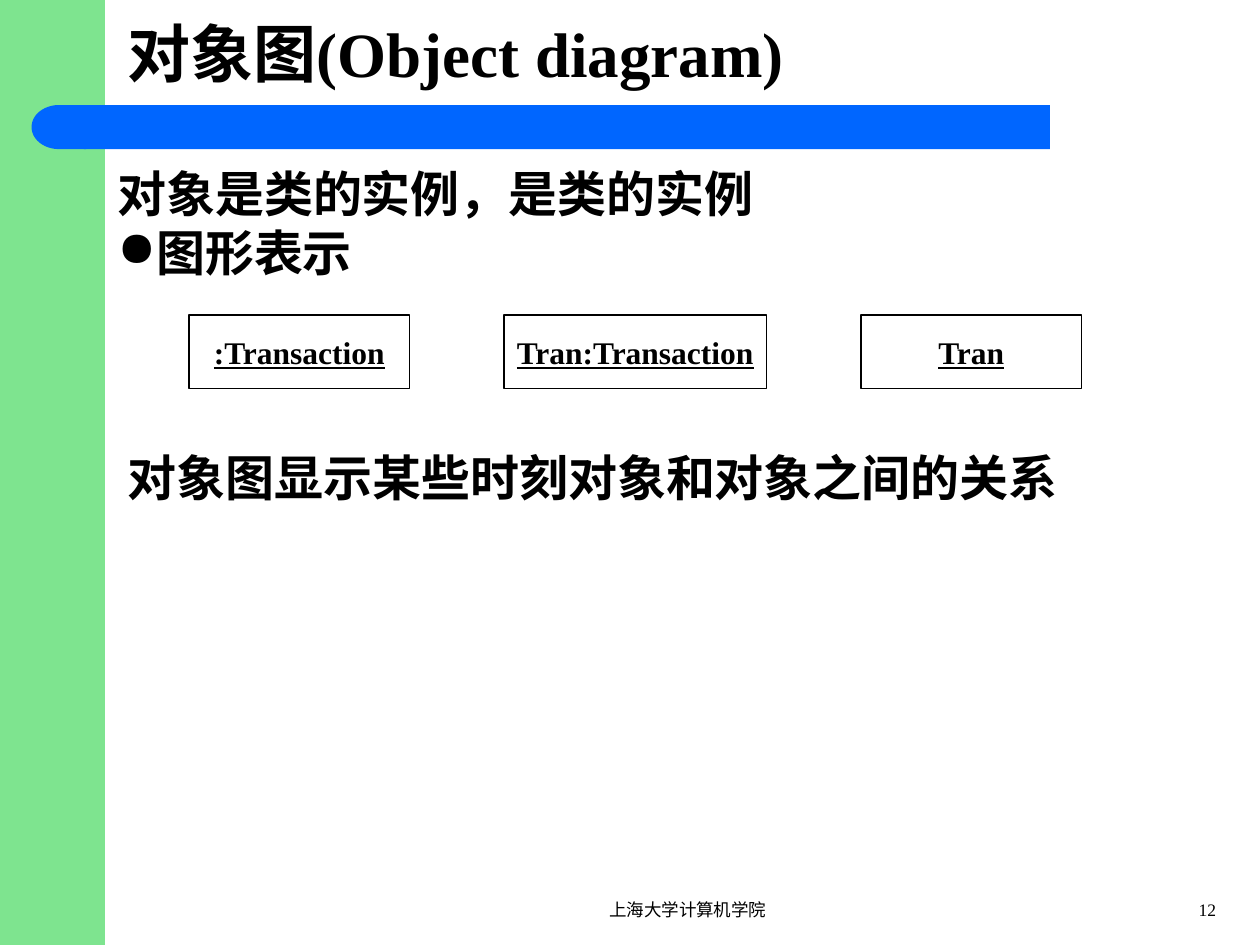
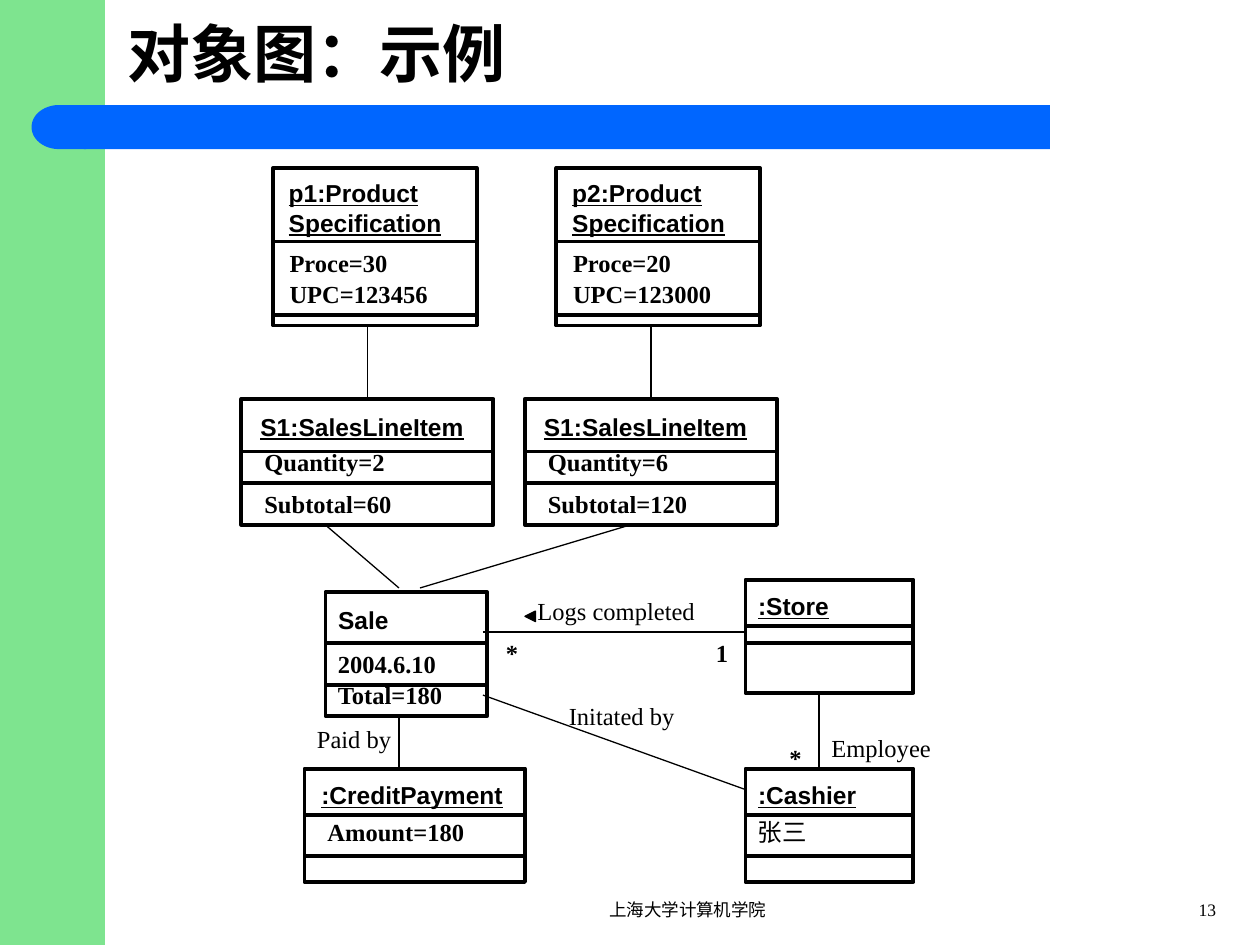
from dataclasses import dataclass, replace

from lxml import etree
from pptx import Presentation
from pptx.dml.color import RGBColor
from pptx.enum.shapes import MSO_CONNECTOR, MSO_SHAPE
from pptx.enum.text import MSO_ANCHOR, PP_ALIGN
from pptx.oxml.ns import qn
from pptx.util import Inches, Pt

BLACK = RGBColor(0x00, 0x00, 0x00)
GREEN = RGBColor(0x7E, 0xE4, 0x8F)
BLUE = RGBColor(0x00, 0x66, 0xFF)
SERIF, SANS = "Times New Roman", "Arial"
LEFT, CENTER, RIGHT = PP_ALIGN.LEFT, PP_ALIGN.CENTER, PP_ALIGN.RIGHT
TOP, MIDDLE = MSO_ANCHOR.TOP, MSO_ANCHOR.MIDDLE
RECTANGLE, DELAY = MSO_SHAPE.RECTANGLE, MSO_SHAPE.FLOWCHART_DELAY
TRIANGLE = MSO_SHAPE.ISOSCELES_TRIANGLE
STRAIGHT = MSO_CONNECTOR.STRAIGHT

COLUMNS, ROWS = 120, 90
CELL = Inches(10) / COLUMNS
THIN, THICK = 0.75, 2.25
LABEL_HEIGHT = 4.1
FOOTER = "上海大学计算机学院"


@dataclass(frozen=True)
class TextStyle:
    size: float
    font: str = SERIF
    bold: bool = False
    underline: bool = False
    align: PP_ALIGN = LEFT
    anchor: MSO_ANCHOR = TOP


TITLE = TextStyle(36, bold=True, anchor=MIDDLE)
BODY = TextStyle(28, bold=True)
NOTATION = TextStyle(18, bold=True, underline=True, align=CENTER, anchor=MIDDLE)
OBJECT_NAME = TextStyle(14, SANS, bold=True, underline=True)
ATTRIBUTE = TextStyle(14, bold=True)
LABEL = TextStyle(14)
FOOTER_TEXT = TextStyle(10, align=CENTER)


def cells(*counts):
    return [round(count * CELL) for count in counts]


def add_bullet(paragraph, character):
    properties = paragraph._p.get_or_add_pPr()
    properties.set("marL", "0")
    properties.set("indent", "0")
    etree.SubElement(properties, qn("a:buChar")).set("char", character)


def write(shape, lines, style, inset=True, wrap=True, bullets=()):
    frame = shape.text_frame
    frame.word_wrap = wrap
    frame.vertical_anchor = style.anchor
    if not inset:
        frame.margin_left = frame.margin_right = 0
        frame.margin_top = frame.margin_bottom = 0
    for index, line in enumerate(lines):
        paragraph = frame.add_paragraph() if index else frame.paragraphs[0]
        paragraph.alignment = style.align
        if index in bullets:
            add_bullet(paragraph, "●")
        run = paragraph.add_run()
        run.text = line
        run.font.size = Pt(style.size)
        run.font.name = style.font
        run.font.bold = style.bold
        run.font.underline = style.underline
        run.font.color.rgb = BLACK


def add_text(slide, area, lines, style, **options):
    write(slide.shapes.add_textbox(*cells(*area)), lines, style, **options)


def add_block(slide, kind, area, fill=None, line_width=None):
    shape = slide.shapes.add_shape(kind, *cells(*area))
    shape.shadow.inherit = False
    if fill is None:
        shape.fill.background()
    else:
        shape.fill.solid()
        shape.fill.fore_color.rgb = fill
    if line_width is None:
        shape.line.fill.background()
    else:
        shape.line.color.rgb = BLACK
        shape.line.width = Pt(line_width)
    return shape


def add_line(slide, start, end, width=THIN):
    connector = slide.shapes.add_connector(STRAIGHT, *cells(*start, *end))
    connector.line.color.rgb = BLACK
    connector.line.width = Pt(width)
    etree.SubElement(connector._element.spPr, qn("a:effectLst"))


def add_label(slide, left, top, width, text, style=LABEL):
    add_text(slide, (left, top, width, LABEL_HEIGHT), [text], style)


def add_object(slide, area, dividers, name, name_offset, attributes=(),
               name_style=OBJECT_NAME, attribute_style=ATTRIBUTE):
    left, top, width, height = area
    add_block(slide, RECTANGLE, area, line_width=THICK)
    for divider in dividers:
        add_line(slide, (left, top + divider), (left + width, top + divider), THICK)
    across, down = name_offset
    add_text(slide, (left + across, top + down, width - 2.8, 2.8), [name],
             name_style, inset=False)
    for across, down, text in attributes:
        add_label(slide, left + across, top + down, width - across, text,
                  attribute_style)


def add_base_slide(presentation, title, number):
    slide = presentation.slides.add_slide(presentation.slide_layouts[6])
    add_block(slide, RECTANGLE, (0, 0, 10, ROWS), GREEN)
    add_block(slide, RECTANGLE, (8, 10, 92, 4.2), BLUE)
    add_block(slide, DELAY, (3, 10, 5.2, 4.2), BLUE).rotation = 180
    add_text(slide, (11, 0, 104, 10), [title], TITLE)
    add_text(slide, (45, 85, 41, 3), [FOOTER], FOOTER_TEXT)
    add_text(slide, (108, 85, 9, 3), [str(number)], replace(FOOTER_TEXT, align=RIGHT))
    return slide


def build_notation_slide(presentation):
    slide = add_base_slide(presentation, "对象图(Object diagram)", 12)
    add_text(slide, (10, 15, 73, 12.5),
             ["对象是类的实例，是类的实例", "图形表示"], BODY, bullets=(1,))
    for left, width, name in ((18, 21, ":Transaction"),
                              (48, 25, "Tran:Transaction"),
                              (82, 21, "Tran")):
        shape = add_block(slide, RECTANGLE, (left, 30, width, 7), line_width=THIN)
        write(shape, [name], NOTATION, wrap=False)
    add_text(slide, (11, 42, 97, 6), ["对象图显示某些时刻对象和对象之间的关系"], BODY)


def add_product_line(slide, left, product, price, code, quantity, subtotal):
    add_object(slide, (left + 3, 16, 19.4, 15), (7, 14),
               f"{product}:Product Specification", (1.5, 1),
               ((0.4, 7, f"Proce={price}"), (0.4, 10, f"UPC={code}")))
    add_line(slide, (left + 12, 31), (left + 12, 38))
    add_object(slide, (left, 38, 24, 12), (5, 8), "S1:SalesLineItem", (1.8, 1.2),
               ((1, 4, f"Quantity={quantity}"), (1, 8, f"Subtotal={subtotal}")))


def build_example_slide(presentation):
    slide = add_base_slide(presentation, "对象图：示例", 13)
    add_product_line(slide, 23, "p1", 30, "123456", 2, 60)
    add_product_line(slide, 50, "p2", 20, "123000", 6, 120)

    add_object(slide, (31, 56.4, 15.4, 11.8), (4.8, 8.8), "Sale", (1.2, 1.2),
               ((0, 4.8, "2004.6.10"), (0, 7.8, "Total=180")),
               name_style=replace(OBJECT_NAME, underline=False))
    add_object(slide, (29, 73.2, 21, 10.8), (4.4, 8.3), ":CreditPayment", (1.6, 1.1),
               ((1, 4, "Amount=180"),))
    add_object(slide, (71, 55.2, 16, 10.8), (4.4, 6), ":Store", (1.2, 1.1))
    add_object(slide, (71, 73.2, 16, 10.8), (4.4, 8.3), ":Cashier", (1.2, 1.1),
               ((0, 4, "张三"),), attribute_style=LABEL)

    for start, end in (((38, 56), (31, 50)), ((40, 56), (60, 50)),
                       ((38, 68.2), (38, 73.2)), ((46, 60.2), (71, 60.2)),
                       ((71, 75.2), (46, 66.2)), ((78, 66.2), (78, 73.2))):
        add_line(slide, start, end)

    for left, top, width, text in ((29, 68.4, 15, "Paid by"),
                                   (50, 56.2, 22, "Logs completed"),
                                   (53, 66.2, 13, "Initated by"),
                                   (78, 69.2, 13, "Employee")):
        add_label(slide, left, top, width, text)
    for left, top, text in ((47, 60.2, "*"), (67, 60.2, "1"), (74, 70.2, "*")):
        add_label(slide, left, top, 4, text, ATTRIBUTE)
    add_block(slide, TRIANGLE, (50, 58.2, 1, 1), BLACK, THIN).rotation = 270


def main():
    presentation = Presentation()
    presentation.slide_width, presentation.slide_height = cells(COLUMNS, ROWS)
    build_notation_slide(presentation)
    build_example_slide(presentation)
    presentation.save("out.pptx")


if __name__ == "__main__":
    main()
